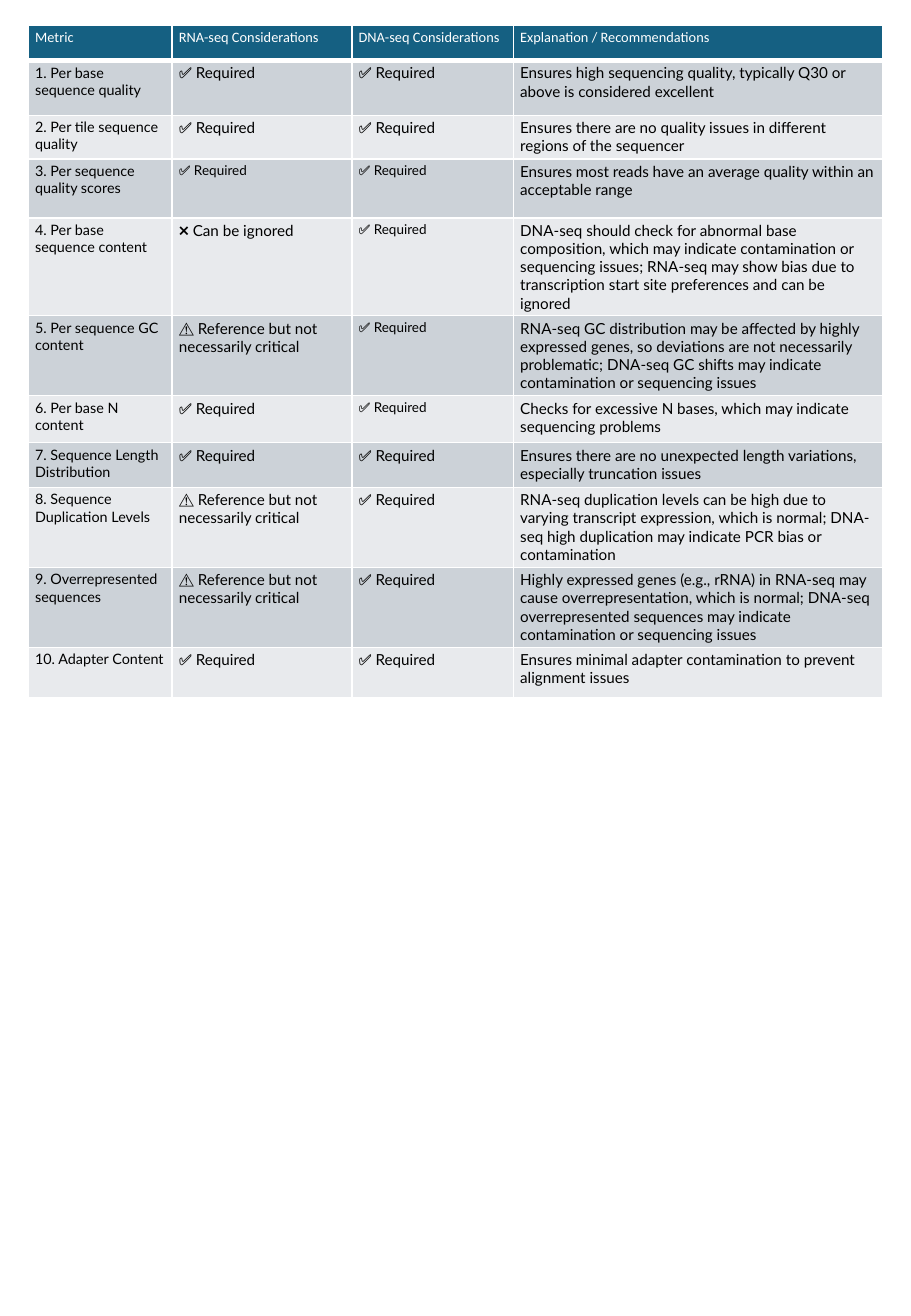
from dataclasses import dataclass

from lxml.etree import SubElement
from pptx import Presentation
from pptx.dml.color import RGBColor
from pptx.oxml.ns import qn
from pptx.util import Pt

COLORS = {
    "header": "156082",
    "odd": "CCD2D8",
    "even": "E8EAED",
    "border": "FFFFFF",
    "header_text": "FFFFFF",
    "body_text": "000000",
}
REQUIRED = "✅ Required"
IGNORED = "❌ Can be ignored"
REFERENCE = "⚠️ Reference but not necessarily critical"

HEADINGS = ("Metric", "RNA-seq Considerations", "DNA-seq Considerations",
            "Explanation / Recommendations")
HEADING_SIZE = 8.5
HEADER_HEIGHT = 20.8
COLUMN_WIDTHS = (85.2, 106.6, 95.8, 218.9)
TABLE_LEFT, TABLE_TOP = 16.8, 15.1


@dataclass
class Metric:
    name: str
    rna: str
    explanation: str
    height: float
    rna_size: float = 9
    dna_size: float = 9


METRICS = [
    Metric("Per base sequence quality", REQUIRED,
           "Ensures high sequencing quality, typically Q30 or above is considered excellent",
           32.4),
    Metric("Per tile sequence quality", REQUIRED,
           "Ensures there are no quality issues in different regions of the sequencer",
           25.8),
    Metric("Per sequence quality scores", REQUIRED,
           "Ensures most reads have an average quality within an acceptable range",
           35, rna_size=8, dna_size=8),
    Metric("Per base sequence content", IGNORED,
           "DNA-seq should check for abnormal base composition, which may indicate "
           "contamination or sequencing issues; RNA-seq may show bias due to "
           "transcription start site preferences and can be ignored",
           58, dna_size=8),
    Metric("Per sequence GC content", REFERENCE,
           "RNA-seq GC distribution may be affected by highly expressed genes, so "
           "deviations are not necessarily problematic; DNA-seq GC shifts may indicate "
           "contamination or sequencing issues",
           47.4, dna_size=8),
    Metric("Per base N content", REQUIRED,
           "Checks for excessive N bases, which may indicate sequencing problems",
           27.9, dna_size=8),
    Metric("Sequence Length Distribution", REQUIRED,
           "Ensures there are no unexpected length variations, especially truncation issues",
           26.5),
    Metric("Sequence Duplication Levels", REFERENCE,
           "RNA-seq duplication levels can be high due to varying transcript expression, "
           "which is normal; DNA-seq high duplication may indicate PCR bias or contamination",
           47.4),
    Metric("Overrepresented sequences", REFERENCE,
           "Highly expressed genes (e.g., rRNA) in RNA-seq may cause overrepresentation, "
           "which is normal; DNA-seq overrepresented sequences may indicate contamination "
           "or sequencing issues",
           47.4),
    Metric("Adapter Content", REQUIRED,
           "Ensures minimal adapter contamination to prevent alignment issues",
           29.6),
]


def add_borders(cell, bottom_width: float) -> None:
    """Draw 1 pt borders, with a chosen width at the bottom."""
    properties = cell._tc.get_or_add_tcPr()
    for side, width in (("L", 1), ("R", 1), ("T", 1), ("B", bottom_width)):
        line = SubElement(properties, qn(f"a:ln{side}"), w=str(int(Pt(width))))
        fill = SubElement(line, qn("a:solidFill"))
        SubElement(fill, qn("a:srgbClr"), val=COLORS["border"])


def fill_cell(cell, text: str, size: float, font_name: str, text_color: str,
              fill_color: str, bottom_width: float = 1) -> None:
    cell.margin_left = cell.margin_right = Pt(4)
    cell.margin_top = cell.margin_bottom = Pt(2)
    add_borders(cell, bottom_width)
    cell.fill.solid()
    cell.fill.fore_color.rgb = RGBColor.from_string(COLORS[fill_color])
    cell.text = text
    paragraph = cell.text_frame.paragraphs[0]
    paragraph.font.name = font_name
    paragraph.font.size = Pt(size)
    paragraph.font.bold = False
    paragraph.font.color.rgb = RGBColor.from_string(COLORS[text_color])


def add_metric_table(slide) -> None:
    heights = [HEADER_HEIGHT] + [metric.height for metric in METRICS]
    table = slide.shapes.add_table(
        len(heights), len(COLUMN_WIDTHS), Pt(TABLE_LEFT), Pt(TABLE_TOP),
        Pt(sum(COLUMN_WIDTHS)), Pt(sum(heights))).table
    for column, width in zip(table.columns, COLUMN_WIDTHS):
        column.width = Pt(width)
    for row, height in zip(table.rows, heights):
        row.height = Pt(height)

    for column_index, heading in enumerate(HEADINGS):
        fill_cell(table.cell(0, column_index), heading, HEADING_SIZE, "Calibri",
                  "header_text", "header", bottom_width=3)
    for number, metric in enumerate(METRICS, start=1):
        entries = (
            (f"{number}. {metric.name}", 8.5),
            (metric.rna, metric.rna_size),
            (REQUIRED, metric.dna_size),
            (metric.explanation, 9),
        )
        band = "odd" if number % 2 else "even"
        for column_index, (text, size) in enumerate(entries):
            fill_cell(table.cell(number, column_index), text, size, "Lato",
                      "body_text", band)


def main() -> None:
    presentation = Presentation()
    presentation.slide_width = Pt(540)
    presentation.slide_height = Pt(779.76)
    slide = presentation.slides.add_slide(presentation.slide_layouts[6])
    add_metric_table(slide)
    presentation.save("out.pptx")


if __name__ == "__main__":
    main()
